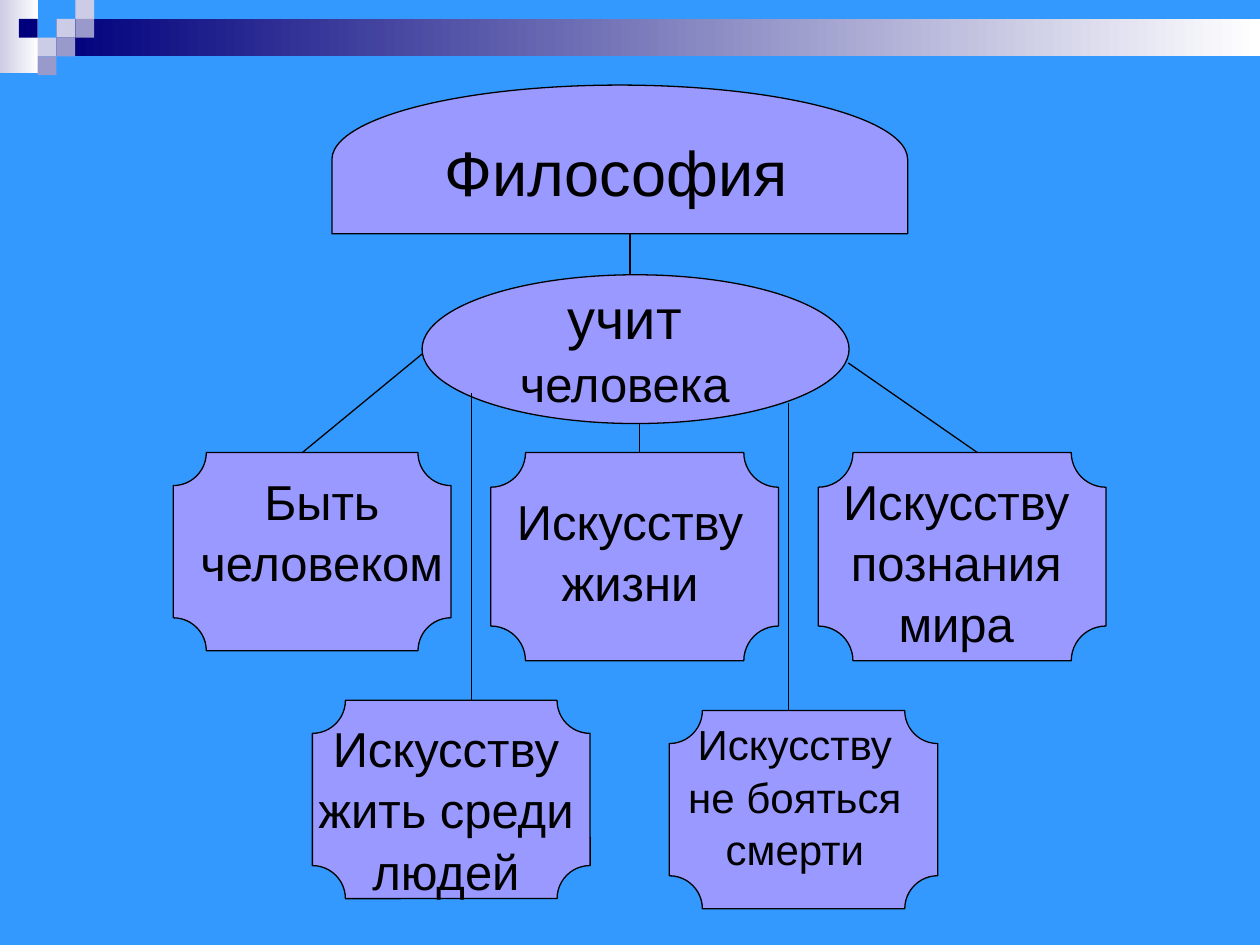
from collections import namedtuple
from dataclasses import dataclass

from lxml import etree
from pptx import Presentation
from pptx.dml.color import RGBColor
from pptx.enum.shapes import MSO_CONNECTOR, MSO_SHAPE
from pptx.enum.text import MSO_AUTO_SIZE, PP_ALIGN
from pptx.oxml.ns import qn
from pptx.util import Pt

RECTANGLE = MSO_SHAPE.RECTANGLE
ELLIPSE = MSO_SHAPE.OVAL
PLAQUE = MSO_SHAPE.PLAQUE
DELAY = MSO_SHAPE.FLOWCHART_DELAY
STRAIGHT = MSO_CONNECTOR.STRAIGHT
CENTER = PP_ALIGN.CENTER
GROW = MSO_AUTO_SIZE.SHAPE_TO_FIT_TEXT

Box = namedtuple("Box", "left top width height")


@dataclass(frozen=True)
class Theme:
    background: str = "3399FF"
    node: str = "9999FF"
    ink: str = "000000"
    navy: str = "00007D"
    pale: str = "CCCCE6"
    muted: str = "9999CC"
    white: str = "FFFFFF"
    font: str = "Arial"
    title: int = 36
    lead: int = 32
    body: int = 28
    small: int = 24
    line: float = 0.75
    spacing: float = 1.04


THEME = Theme()
SLIDE = Box(0, 0, 720, 540)


def color(value):
    return RGBColor.from_string(value)


def inside(box, left, top, width, height):
    """Turn a place relative to box into a place on the slide."""
    return Box(box.left + left, box.top + top, width, height)


def add_block(slide, kind, box, fill, outlined=False):
    """Add a preset shape; a pair of colours makes a left-to-right gradient."""
    shape = slide.shapes.add_shape(kind, *map(Pt, box))
    shape.shadow.inherit = False
    if isinstance(fill, tuple):
        shape.fill.gradient()
        shape.fill.gradient_angle = 0
        for stop, value in zip(shape.fill.gradient_stops, fill):
            stop.color.rgb = color(value)
    else:
        shape.fill.solid()
        shape.fill.fore_color.rgb = color(fill)
    if outlined:
        shape.line.color.rgb = color(THEME.ink)
        shape.line.width = Pt(THEME.line)
    else:
        shape.line.fill.background()
    return shape


def add_text(slide, box, *runs, align=CENTER, ink=THEME.ink):
    """Add one wrapped paragraph made of (text, size) runs."""
    frame = slide.shapes.add_textbox(*map(Pt, box)).text_frame
    frame.word_wrap = True
    frame.auto_size = GROW
    paragraph = frame.paragraphs[0]
    paragraph.alignment = align
    paragraph.line_spacing = THEME.spacing
    for text, size in runs:
        run = paragraph.add_run()
        run.text = text
        run.font.name = THEME.font
        run.font.size = Pt(size)
        run.font.color.rgb = color(ink)


def add_line(slide, box, start, end):
    points = [Pt(origin + offset) for point in (start, end)
              for origin, offset in zip((box.left, box.top), point)]
    line = slide.shapes.add_connector(STRAIGHT, *points)
    line.line.color.rgb = color(THEME.ink)
    line.line.width = Pt(THEME.line)
    etree.SubElement(line._element.spPr, qn("a:effectLst"))


def add_header_band(slide, box):
    """Gradient bar with a mosaic of squares on a grid at its left end."""
    cell = 10.75
    add_block(slide, RECTANGLE, inside(box, 0, 0, 22, 42), (THEME.pale, THEME.white))
    bar_left = 3 * cell
    add_block(slide, RECTANGLE,
              inside(box, bar_left, cell, box.width - bar_left, 2 * cell),
              (THEME.navy, THEME.white))
    squares = [
        (3, 1, THEME.pale), (4, 0, THEME.pale), (4, 1, THEME.muted),
        (2, 2, THEME.pale), (1, 1, THEME.navy), (3, 2, THEME.muted),
        (2, 3, THEME.muted),
    ]
    for column, row, fill in squares:
        place = inside(box, column * cell, row * cell, cell, cell)
        add_block(slide, RECTANGLE, place, fill)


def add_arch(slide, box):
    """Draw the delay shape upright: its unturned box has swapped sides."""
    shift = (box.width - box.height) / 2
    upright = inside(box, shift, -shift, box.height, box.width)
    add_block(slide, DELAY, upright, THEME.node, outlined=True).rotation = 270


def add_diagram(slide, box):
    arch = inside(box, 90.7, 0.6, 329, 85)
    add_arch(slide, arch)
    add_text(slide, inside(arch, 35, 22.7, 255, 50.4), ("Философия", THEME.title))

    ellipse = inside(box, 142.2, 109, 244, 85)
    add_block(slide, ELLIPSE, ellipse, THEME.node, outlined=True)
    add_text(slide, inside(ellipse, 22.3, 0, 187, 79),
             ("учит", THEME.lead), (" человека", THEME.body))

    upper, lower_left, lower_right = 210.6, 352.2, 358
    # plaque place in the diagram, text place in the plaque, text, size
    plaques = [
        ((0, upper, 158.7, 113.3), (5.7, 5.7, 158.4, 75),
         "Быть человеком", THEME.body),
        ((181.5, upper, 164.4, 119), (5.7, 17.2, 147.6, 75),
         "Искусству жизни", THEME.body),
        ((368.6, upper, 164.4, 119), (5, 5.7, 147.6, 108),
         "Искусству познания мира", THEME.body),
        ((79.5, lower_left, 158.7, 113.3), (-11.5, 5.7, 175.7, 108),
         "Искусству жить среди людей", THEME.body),
        ((283.5, lower_right, 153.4, 113.3), (-5, 0, 153.4, 93.6),
         "Искусству не бояться смерти", THEME.small),
    ]
    for place, text_place, text, size in plaques:
        plaque = inside(box, *place)
        add_block(slide, PLAQUE, plaque, THEME.node, outlined=True)
        add_text(slide, inside(plaque, *text_place), (text, size))

    lines = [
        ((142.2, 154.3), (73.8, upper)),
        ((266.6, 194), (266.6, upper)),
        ((385.7, 159.4), (459.5, upper)),
        ((170.3, 176.6), (170.3, lower_left)),
        ((351.7, 182.4), (351.7, lower_right)),
        ((261, 85.6), (261, 109)),
    ]
    for start, end in lines:
        add_line(slide, box, start, end)


def main():
    presentation = Presentation()
    presentation.slide_width = Pt(SLIDE.width)
    presentation.slide_height = Pt(SLIDE.height)
    slide = presentation.slides.add_slide(presentation.slide_layouts[6])
    slide.background.fill.solid()
    slide.background.fill.fore_color.rgb = color(THEME.background)
    add_header_band(slide, Box(0, 0, SLIDE.width, 43))
    add_diagram(slide, Box(99, 48, 533, 472))
    presentation.save("out.pptx")


if __name__ == "__main__":
    main()
